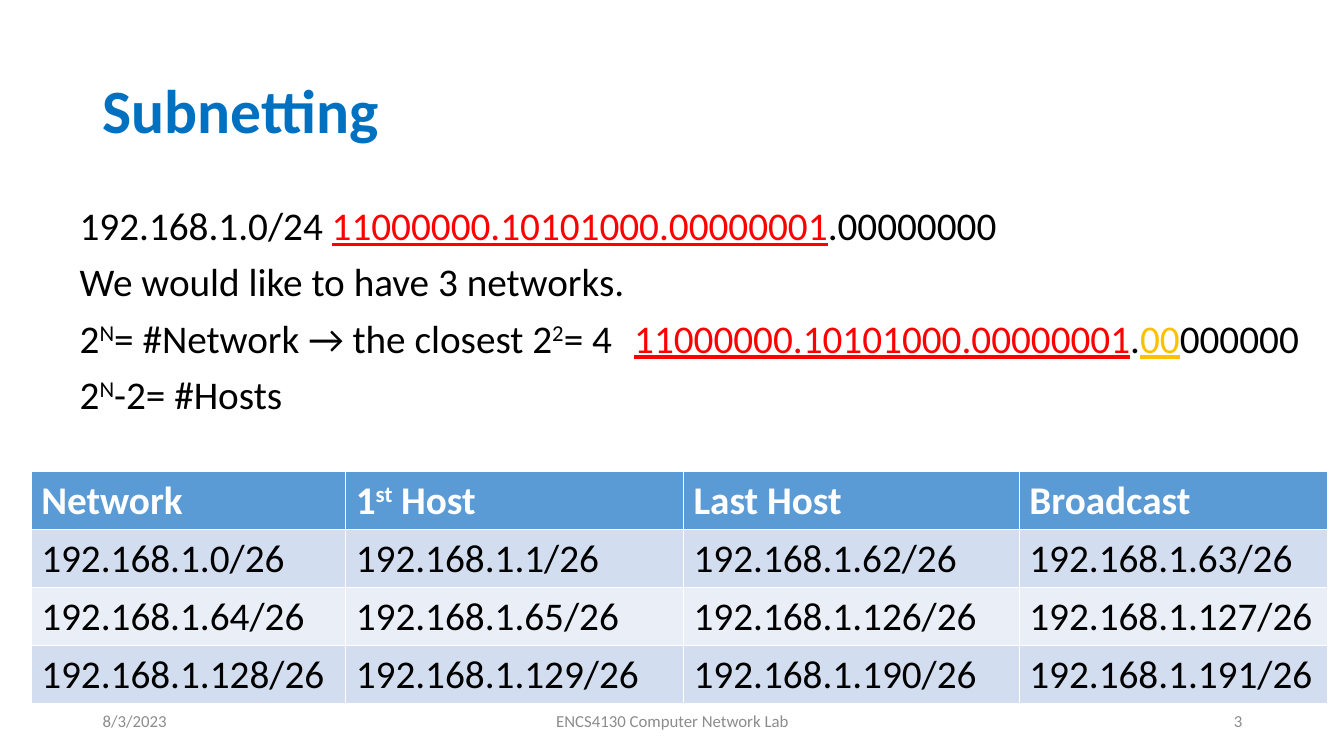
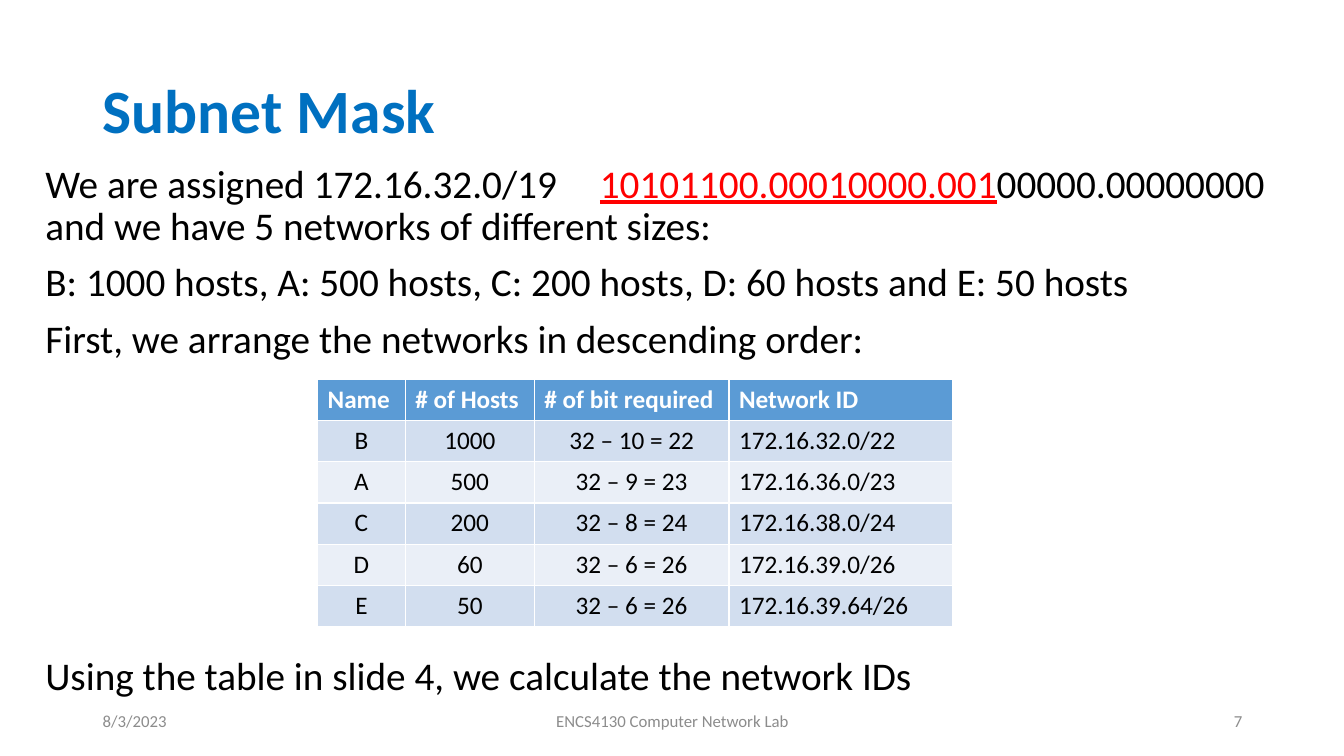
from pptx import Presentation
from pptx.dml.color import RGBColor
from pptx.enum import text
from pptx.oxml.xmlchemy import OxmlElement
from pptx.util import Inches, Pt

LEFT, MID, RIGHT = text.PP_ALIGN.LEFT, text.PP_ALIGN.CENTER, text.PP_ALIGN.RIGHT
BLUE, BLACK, GREY, WHITE = "0070C0", "000000", "8C8C8C", "FFFFFF"
RED, GOLD = "FF0000", "FFC000"
HEAD, BANDS = "5B9BD5", ["D2DEEF", "EAEFF7"]


def paint(part, shade):
    part.rgb = RGBColor.from_string(shade)


def style(para, size, shade, bold=False, align=LEFT):
    para.alignment = align
    for run in para.runs:
        run.font.name = "Calibri"
        run.font.size = Pt(size)
        run.font.bold = bold
        paint(run.font.color, shade)


deck = Presentation()
deck.slide_width, deck.slide_height = Inches(13.33), Inches(7.5)
base = deck.slide_layouts[1]

pages = [
    {
        "title": "Subnetting",
        "number": "3",
        "body": (0.69, 2, 12.34, 2.67),
        "lines": [
            (10, 3.12, [("192.168.1.0/24\t", ""), ("11000000.10101000.00000001", RED),
                        (".00000000", "")]),
            (10, 0, [("We would like to have 3 networks.", "")]),
            (10, 5.46, [("2", ""), ("N", "up"), ("= #Network → the closest 2", ""),
                        ("2", "up"), ("= 4\t", ""),
                        ("11000000.10101000.00000001", RED), (".", ""),
                        ("00", GOLD), ("000000", "")]),
            (10, 0, [("2", ""), ("N", "up"), ("-2= #Hosts", "")]),
        ],
        "grid": (0.31, 4.68),
        "cols": [3.12, 3.35, 3.33, 3.06],
        "row": 0.57,
        "size": 28,
        "aligns": [LEFT] * 4,
        "cells": [
            ["Network", "1st Host", "Last Host", "Broadcast"],
            *[[f"192.168.1.{host}/26" for host in (net, net + 1, net + 62, net + 63)]
              for net in (0, 64, 128)],
        ],
    },
    {
        "title": "Subnet Mask",
        "number": "7",
        "body": (0.35, 1.58, 12.5, 5.5),
        "lines": [
            (10, 5.25, [("We are assigned 172.16.32.0/19\t", ""),
                        ("10101100.00010000.001", RED),
                        ("00000.00000000 and we have 5 networks of different sizes:", "")]),
            (10, 0, [("B: 1000 hosts, A: 500 hosts, C: 200 hosts, "
                      "D: 60 hosts and E: 50 hosts", "")]),
            (10, 0, [("First, we arrange the networks in descending order:", "")]),
            (211, 0, [("Using the table in slide 4, we calculate the network IDs", "")]),
        ],
        "grid": (3.15, 3.76),
        "cols": [0.87, 1.28, 1.93, 2.22],
        "row": 0.41,
        "size": 18,
        "aligns": [MID, MID, MID, LEFT],
        "cells": [
            ["Name", "# of Hosts", "# of bit required", "Network ID"],
            ["B", "1000", "32 – 10 = 22", "172.16.32.0/22"],
            ["A", "500", "32 – 9 = 23", "172.16.36.0/23"],
            ["C", "200", "32 – 8 = 24", "172.16.38.0/24"],
            ["D", "60", "32 – 6 = 26", "172.16.39.0/26"],
            ["E", "50", "32 – 6 = 26", "172.16.39.64/26"],
        ],
    },
]

for page in pages:
    slide = deck.slides.add_slide(base)
    title, body = slide.placeholders
    places = [(title, (0.92, 0.4, 11.5, 1.45)), (body, page["body"])]
    for box, place in places:
        box.left, box.top, box.width, box.height = [Inches(n) for n in place]
        box.text_frame.auto_size = text.MSO_AUTO_SIZE.NONE

    title.text_frame.text = page["title"]
    title.text_frame.vertical_anchor = text.MSO_ANCHOR.MIDDLE
    title.text_frame.paragraphs[0].line_spacing = 0.9
    style(title.text_frame.paragraphs[0], 44, BLUE, True)

    frame = body.text_frame
    for at, (gap, tab, parts) in enumerate(page["lines"]):
        para = frame.add_paragraph() if at else frame.paragraphs[0]
        for words, kind in parts:
            para.add_run().text = words
        style(para, 28, BLACK)
        for run, (words, kind) in zip(para.runs, parts):
            if kind == "up":
                run.font._element.set("baseline", "30000")
            elif kind:
                run.font.underline = True
                paint(run.font.color, kind)
        para.line_spacing = 0.9
        para.space_before = Pt(gap)
        props = para._p.get_or_add_pPr()
        props.set("marL", "0")
        props.set("indent", "0")
        props.append(OxmlElement("a:buNone"))
        if tab:
            stops = OxmlElement("a:tabLst")
            stop = OxmlElement("a:tab")
            stop.set("pos", str(Inches(tab)))
            stop.set("algn", "l")
            stops.append(stop)
            props.append(stops)

    rows, cols = page["cells"], page["cols"]
    x, y = page["grid"]
    grid = slide.shapes.add_table(
        len(rows), len(cols), Inches(x), Inches(y),
        Inches(sum(cols)), Inches(page["row"] * len(rows))).table
    for col, width in zip(grid.columns, cols):
        col.width = Inches(width)
    for r, row in enumerate(rows):
        grid.rows[r].height = Inches(page["row"])
        for c, words in enumerate(row):
            cell = grid.cell(r, c)
            cell.fill.solid()
            paint(cell.fill.fore_color, BANDS[(r - 1) % 2] if r else HEAD)
            para = cell.text_frame.paragraphs[0]
            if words == "1st Host":
                for bit in ("1", "st", " Host"):
                    para.add_run().text = bit
                para.runs[1].font._element.set("baseline", "30000")
            else:
                para.text = words
            if r:
                style(para, page["size"], BLACK, align=page["aligns"][c])
            else:
                style(para, page["size"], WHITE, True)

    feet = [(0.92, 3, "8/3/2023", LEFT),
            (4.42, 4.5, "ENCS4130 Computer Network Lab", MID),
            (9.42, 3, page["number"], RIGHT)]
    for x, width, words, align in feet:
        foot = slide.shapes.add_textbox(
            Inches(x), Inches(6.95), Inches(width), Inches(0.4)).text_frame
        foot.word_wrap = True
        foot.vertical_anchor = text.MSO_ANCHOR.MIDDLE
        foot.text = words
        style(foot.paragraphs[0], 12, GREY, align=align)

deck.save("out.pptx")
